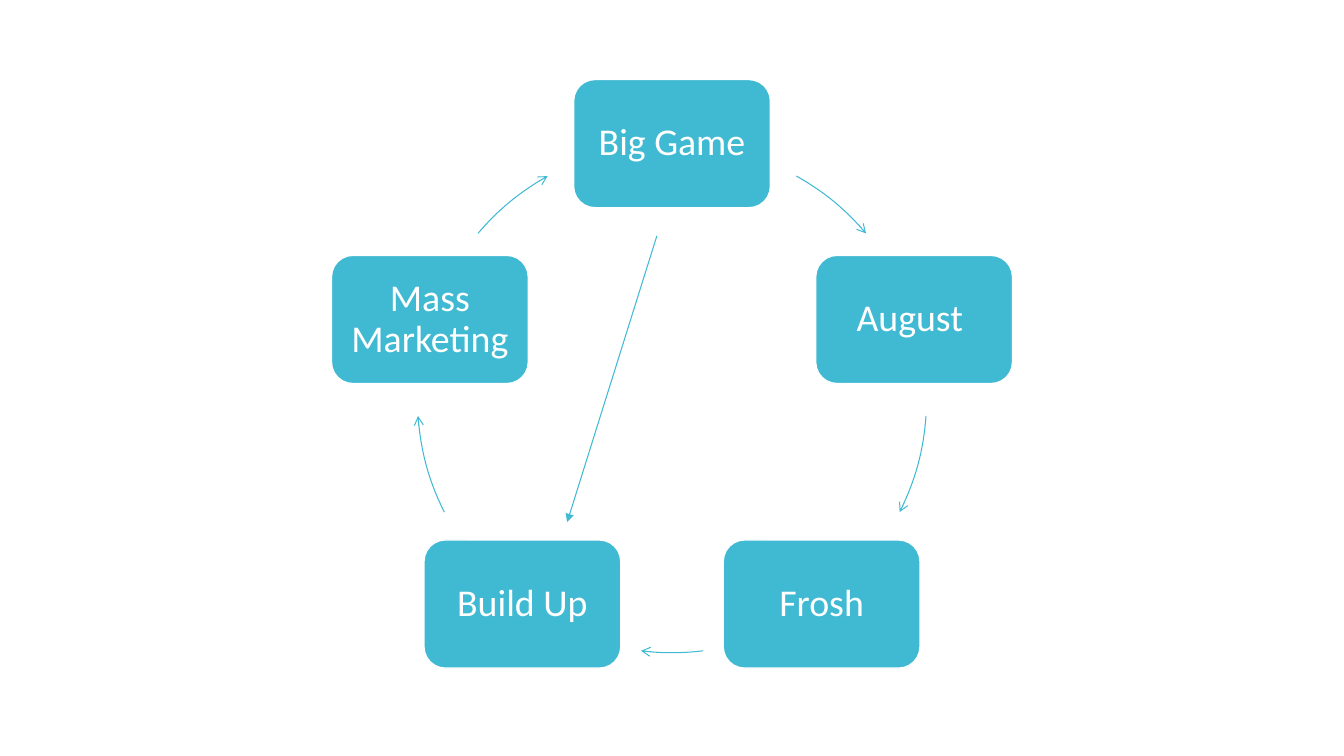
from dataclasses import dataclass
from math import cos, radians, sin

from lxml.etree import SubElement
from pptx import Presentation
from pptx.dml.color import RGBColor
from pptx.enum.shapes import MSO_CONNECTOR, MSO_SHAPE
from pptx.enum.text import MSO_ANCHOR, PP_ALIGN
from pptx.oxml.ns import qn
from pptx.util import Inches, Pt


@dataclass(frozen=True)
class Theme:
    accent: RGBColor = RGBColor(0x40, 0xBA, 0xD2)
    light: RGBColor = RGBColor(0xFF, 0xFF, 0xFF)
    font: str = "Calibri"
    label_size: Pt = Pt(27)
    border: Pt = Pt(0.85)
    stroke: Pt = Pt(0.75)
    padding: Inches = Inches(0.11)


@dataclass(frozen=True)
class Circle:
    x: float
    y: float
    radius: float

    def point(self, angle):
        """Point at an angle in degrees, clockwise from the top."""
        turn = radians(angle)
        return self.x + self.radius * sin(turn), self.y - self.radius * cos(turn)


THEME = Theme()
SLIDE_WIDTH, SLIDE_HEIGHT = 13.33, 7.5
NODE_WIDTH, NODE_HEIGHT = 1.95, 1.27
STAGES = ["Big Game", "August ", "Frosh", "Build Up", "Mass Marketing"]

# Arc angles on the right half and at the bottom; the left half mirrors the right
RIGHT_ARCS = [(29.25, 49.65), (94, 116.6)]
BOTTOM_ARC = (173, 187)
LEFT_ARCS = [(360 - end, 360 - start) for start, end in RIGHT_ARCS]
ARCS = [*RIGHT_ARCS, BOTTOM_ARC, *LEFT_ARCS]


def style_arrow(shape, head):
    shape.line.color.rgb = THEME.accent
    shape.line.width = THEME.stroke
    outline = shape.element.spPr.find(qn("a:ln"))
    SubElement(outline, qn("a:tailEnd"), type=head)


def add_stage(page, center, label):
    x, y = center
    box = page.shapes.add_shape(
        MSO_SHAPE.ROUNDED_RECTANGLE,
        Inches(x - NODE_WIDTH / 2), Inches(y - NODE_HEIGHT / 2),
        Inches(NODE_WIDTH), Inches(NODE_HEIGHT))
    box.shadow.inherit = False
    box.fill.solid()
    box.fill.fore_color.rgb = THEME.accent
    box.line.color.rgb = THEME.light
    box.line.width = THEME.border

    frame = box.text_frame
    frame.word_wrap = True
    frame.vertical_anchor = MSO_ANCHOR.MIDDLE
    frame.margin_left = frame.margin_right = THEME.padding
    frame.margin_top = frame.margin_bottom = THEME.padding
    para = frame.paragraphs[0]
    para.text = label
    para.alignment = PP_ALIGN.CENTER
    para.line_spacing = 0.9
    para.font.name = THEME.font
    para.font.size = THEME.label_size
    para.font.color.rgb = THEME.light


def add_arc(page, circle, start, end):
    size = Inches(2 * circle.radius)
    arc = page.shapes.add_shape(
        MSO_SHAPE.ARC, Inches(circle.x - circle.radius),
        Inches(circle.y - circle.radius), size, size)
    # Preset angles count from the right, in units of 0.6 per degree
    for index, angle in enumerate((start, end)):
        arc.adjustments[index] = (angle - 90) % 360 * 0.6
    arc.shadow.inherit = False
    arc.fill.background()
    style_arrow(arc, "arrow")


def add_cycle(page, circle):
    step = 360 / len(STAGES)
    for index, (label, (start, end)) in enumerate(zip(STAGES, ARCS)):
        add_stage(page, circle.point(index * step), label)
        add_arc(page, circle, start, end)


def add_shortcut(page, circle):
    """Straight arrow across the cycle, from Big Game to Build Up."""
    ends = (circle.x - 0.15, circle.y - 1.61, circle.x - 1.04, circle.y + 1.23)
    arrow = page.shapes.add_connector(
        MSO_CONNECTOR.STRAIGHT, *(Inches(value) for value in ends))
    style_arrow(arrow, "triangle")
    SubElement(arrow.element.spPr, qn("a:effectLst"))


def main():
    deck = Presentation()
    deck.slide_width, deck.slide_height = Inches(SLIDE_WIDTH), Inches(SLIDE_HEIGHT)
    page = deck.slides.add_slide(deck.slide_layouts.get_by_name("Blank"))
    circle = Circle(SLIDE_WIDTH / 2, 3.95, 2.525)
    add_cycle(page, circle)
    add_shortcut(page, circle)
    deck.save("out.pptx")


if __name__ == "__main__":
    main()
